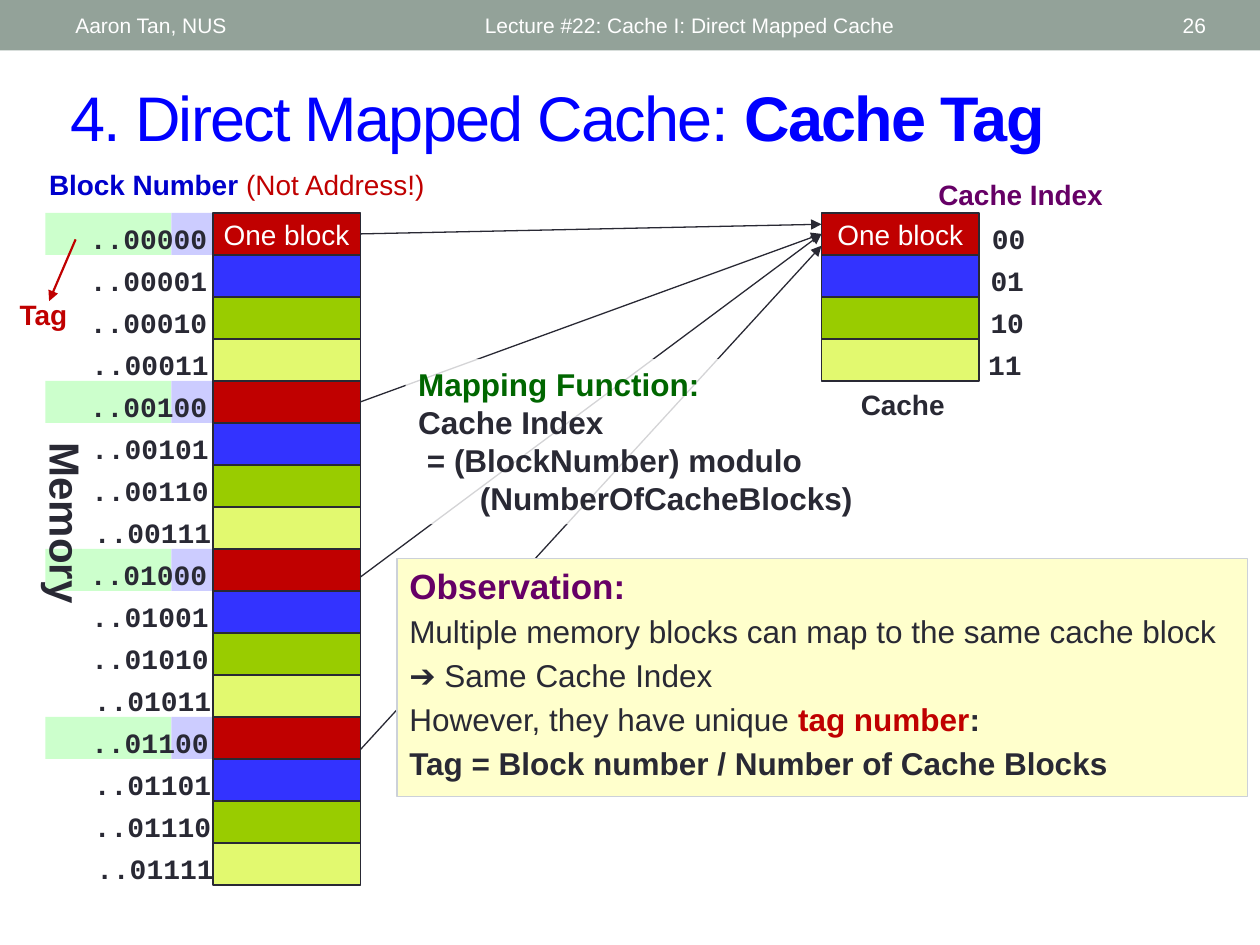
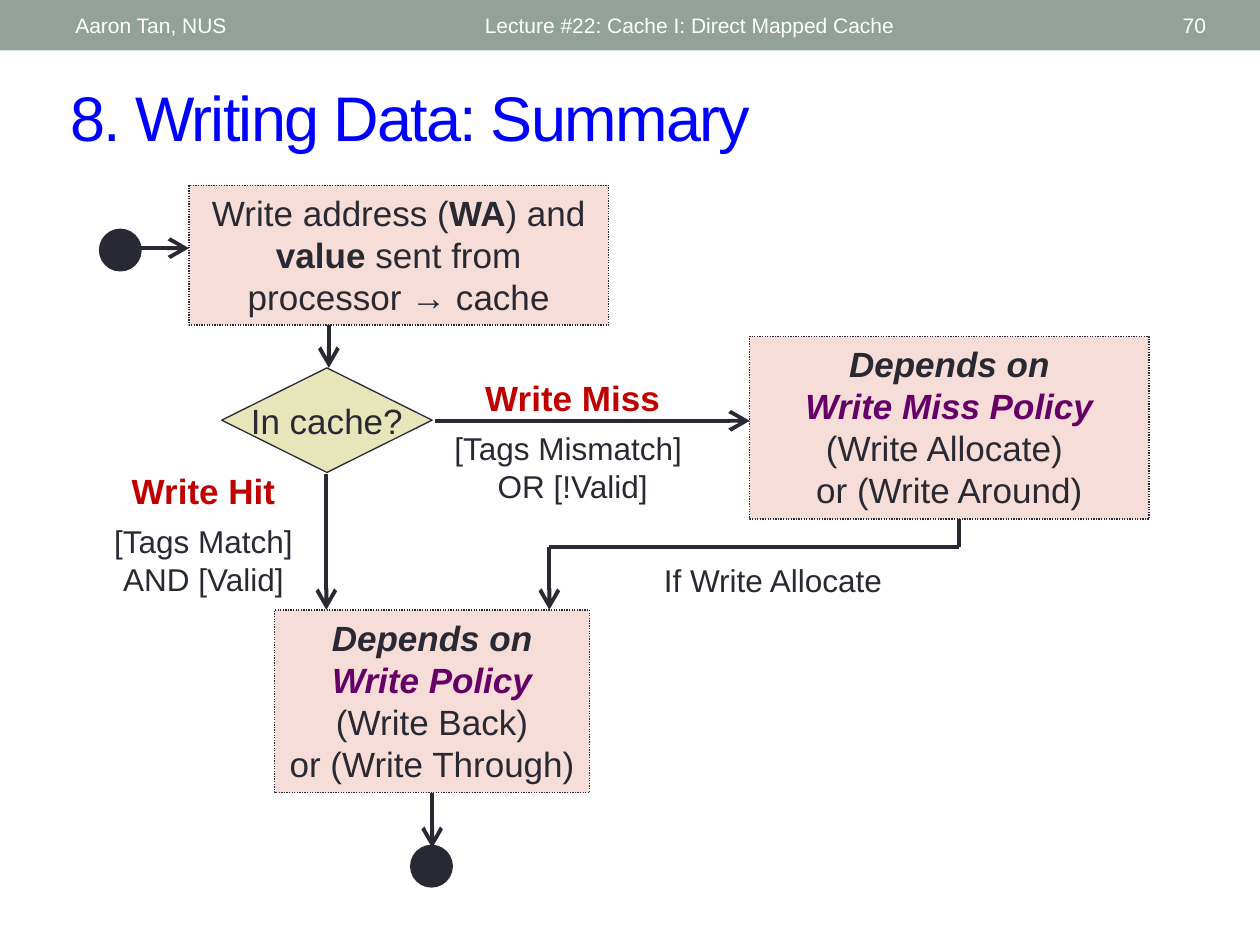
from lxml.etree import SubElement
from pptx import Presentation
from pptx.dml.color import RGBColor
from pptx.enum.dml import MSO_LINE
from pptx.enum.shapes import MSO_CONNECTOR, MSO_SHAPE
from pptx.enum.text import MSO_ANCHOR, PP_ALIGN
from pptx.oxml.ns import qn
from pptx.util import Inches, Pt

COLOURS = {
    "ink": "292934", "white": "FFFFFF", "band": "93A299", "title": "0000FF",
    "red": "C00000", "purple": "660066", "green": "006600", "navy": "0000CC",
    "note": "FFFFCC", "note edge": "CCD1D9", "tag bits": "CCFFCC",
    "index bits": "CCCCFF", "step": "F6DDD8", "decision": "E7E5BA",
}
BLOCK_FILLS = ["C00000", "3333FF", "99CC00", "E2F96F"]
LEFT, CENTER, RIGHT = PP_ALIGN.LEFT, PP_ALIGN.CENTER, PP_ALIGN.RIGHT
TOP, MIDDLE = MSO_ANCHOR.TOP, MSO_ANCHOR.MIDDLE


def add_box(page, frame, paragraphs=(), kind=None, fill=None, line=None, dash=None,
            align=CENTER, anchor=TOP, wrap=True, gap=0, font="Arial"):
    """Add a text box, or a shape if kind is given; a run is (text, colour, size, style)."""
    lengths = [Inches(value) for value in frame]
    if kind is None:
        box = page.shapes.add_textbox(*lengths)
    else:
        box = page.shapes.add_shape(kind, *lengths)
        box.shadow.inherit = False
        box.fill.solid()
        box.fill.fore_color.rgb = RGBColor.from_string(fill)
        if line:
            box.line.color.rgb = RGBColor.from_string(line)
            box.line.width = Pt(0.75)
            box.line.dash_style = dash
        else:
            box.line.fill.background()
    text_frame = box.text_frame
    text_frame.word_wrap = wrap
    text_frame.vertical_anchor = anchor
    for number, runs in enumerate(paragraphs):
        para = text_frame.add_paragraph() if number else text_frame.paragraphs[0]
        para.alignment = align
        if number and gap:
            para.space_before = Pt(gap)
        for text, colour, size, style in runs:
            for part, words in enumerate(text.split("\n")):
                if part:
                    para.add_line_break()
                span = para.add_run()
                span.text = words
                span.font.name = font
                span.font.size = Pt(size)
                span.font.bold = "b" in style
                span.font.italic = "i" in style
                span.font.color.rgb = RGBColor.from_string(COLOURS[colour])
    return box


def add_line(page, start, end, width, colour="ink", head=None, head_size="med",
             begin=None, finish=None):
    """Add a straight line; begin and finish are optional (shape, side) joins."""
    line = page.shapes.add_connector(
        MSO_CONNECTOR.STRAIGHT, *[Inches(value) for value in (*start, *end)])
    line.line.color.rgb = RGBColor.from_string(COLOURS[colour])
    line.line.width = Pt(width)
    if head:
        SubElement(line.line._get_or_add_ln(), qn("a:tailEnd"),
                   type=head, w=head_size, len=head_size)
    SubElement(line._element.spPr, qn("a:effectLst"))
    if begin:
        line.begin_connect(*begin)
    if finish:
        line.end_connect(*finish)


deck = Presentation()
deck.slide_width, deck.slide_height = Inches(10), Inches(7.5)

# Band, footer texts and title on every slide
pages = []
for page_number, title in [
    ("26", [("4. Direct Mapped Cache: ", "title", 36, ""), ("Cache Tag", "title", 36, "b")]),
    ("70", [("8. Writing Data: Summary", "title", 36, "")]),
]:
    page = deck.slides.add_slide(deck.slide_layouts[6])
    add_box(page, (0, 0, 10, 0.4), kind=MSO_SHAPE.RECTANGLE, fill=COLOURS["band"])
    title_box = add_box(page, (0.46, 0.57, 9.21, 0.7), [title], align=LEFT, anchor=MIDDLE)
    for span in title_box.text_frame.paragraphs[0].runs:
        span.font._element.set("spc", "-100")
    for left, width, text, align in [
        (0.5, 3.17, "Aaron Tan, NUS", LEFT),
        (3.75, 4.5, "Lecture #22: Cache I: Direct Mapped Cache", LEFT),
        (8.72, 0.95, page_number, RIGHT),
    ]:
        add_box(page, (left, 0.02, width, 0.36), [[(text, "white", 12, "")]],
                align=align, anchor=MIDDLE)
    pages.append(page)
cache_page, write_page = pages

# Tag and index bits behind the block numbers that share cache block 00
BLOCKS_TOP, BLOCK_HEIGHT = 1.69, 1 / 3
for row in range(0, 16, 4):
    top = BLOCKS_TOP + row * BLOCK_HEIGHT
    for left, width, name in [(0.36, 1, "tag bits"), (1.36, 0.33, "index bits")]:
        add_box(cache_page, (left, top, width, BLOCK_HEIGHT),
                kind=MSO_SHAPE.RECTANGLE, fill=COLOURS[name])
memory_label = add_box(cache_page, (-0.22, 3.9, 1.49, 0.5),
                       [[("Memory", "ink", 24, "b")]], wrap=False)
memory_label.rotation = 90

# Memory and cache columns
columns = []
for left, width, count in [(1.69, 1.17, 16), (6.52, 1.25, 4)]:
    column = []
    for row in range(count):
        words = [[("One block", "white", 16, "")]] if row == 0 else []
        column.append(add_box(
            cache_page, (left, BLOCKS_TOP + row * BLOCK_HEIGHT, width, BLOCK_HEIGHT), words,
            kind=MSO_SHAPE.RECTANGLE, fill=BLOCK_FILLS[row % 4], line=COLOURS["ink"],
            anchor=MIDDLE, wrap=False))
    columns.append(column)
memory, cache = columns

# Arrows from memory blocks to cache block 00
for start_y, end_y, begin, finish in [
    (1.86, 1.78, (memory[0], 3), None),
    (3.22, 1.86, (memory[4], 3), (cache[0], 1)),
    (4.58, 1.86, None, (cache[0], 1)),
    (5.95, 1.95, None, None),
]:
    add_line(cache_page, (2.86, start_y), (6.52, end_y), 0.75,
             head="triangle", begin=begin, finish=finish)

# Mapping function on a translucent panel over the arrows
mapping = add_box(cache_page, (3.22, 2.85, 3.97, 1.31), [
    [("Mapping Function:", "green", 18, "b")],
    [("Cache Index", "ink", 18, "b")],
    [("= (BlockNumber) modulo", "ink", 18, "b")],
    [("(NumberOfCacheBlocks)", "ink", 18, "b")],
], kind=MSO_SHAPE.RECTANGLE, fill=COLOURS["white"], align=LEFT)
panel_colour = mapping._element.spPr.find(qn("a:solidFill")).find(qn("a:srgbClr"))
SubElement(panel_colour, qn("a:alpha"), val="80000")
for para, indent in zip(mapping.text_frame.paragraphs[2:], (0.07, 0.49)):
    para._p.get_or_add_pPr().set("marL", str(Inches(indent)))

# Bring the cache in front of the panel
for block in cache:
    cache_page.shapes.element.append(block._element)

# Block numbers shift right as their count of ones grows
for row in range(16):
    bits = f"{row:05b}"
    left = (0.61, 0.61, 0.62, 0.64, 0.66)[bits.count("1")]
    add_box(cache_page, (left, 1.71 + row * BLOCK_HEIGHT, 1.14, 0.37),
            [[(f"..{bits}", "ink", 16, "b")]], wrap=False, font="Courier New")
for row, left in enumerate([7.77, 7.76, 7.76, 7.74]):
    add_box(cache_page, (left, 1.71 + row * BLOCK_HEIGHT, 0.47, 0.37),
            [[(f"{row:02b}", "ink", 16, "b")]], wrap=False, font="Courier New")

# Captions and the tag pointer
for frame, runs in [
    ((0.27, 1.28, 3.28, 0.37), [("Block Number ", "navy", 16, "b"),
                                ("(Not Address!) ", "red", 16, "")]),
    ((7.34, 1.36, 1.52, 0.37), [("Cache Index", "purple", 16, "b")]),
    ((6.73, 3.03, 0.87, 0.37), [("Cache", "ink", 16, "b")]),
    ((0.05, 2.31, 0.59, 0.37), [("Tag", "red", 16, "b")]),
]:
    add_box(cache_page, frame, [runs], wrap=False)
add_line(cache_page, (0.6, 1.9), (0.39, 2.39), 1.25, "red", "triangle")

# Observation
add_box(cache_page, (3.15, 4.43, 6.75, 1.89), [
    [("Observation:", "purple", 20, "b")],
    [("Multiple memory blocks can map to the same cache block", "ink", 18, "")],
    [("➔ Same Cache Index", "ink", 18, "")],
    [("However, they have unique ", "ink", 18, ""), ("tag number", "red", 18, "b"),
     (":", "ink", 18, "b")],
    [("Tag = Block number / Number of Cache Blocks", "ink", 18, "b")],
], kind=MSO_SHAPE.RECTANGLE, fill=COLOURS["note"], line=COLOURS["note edge"],
    align=LEFT, gap=3.5)

# Start and end of the write flow
for left, top in [(0.79, 1.82), (3.26, 6.71)]:
    add_box(write_page, (left, top, 0.33, 0.33), kind=MSO_SHAPE.OVAL,
            fill=COLOURS["ink"], line=COLOURS["ink"])

# Steps and decision
steps = []
for frame, paragraphs in [
    ((1.5, 1.47, 3.33, 1.11), [
        [("Write address (", "ink", 20, ""), ("WA", "ink", 20, "b"), (") and ", "ink", 20, ""),
         ("value", "ink", 20, "b"), (" sent from processor → cache", "ink", 20, "")]]),
    ((5.95, 2.67, 3.17, 1.45), [
        [("Depends on", "ink", 20, "bi")], [("Write Miss Policy", "purple", 20, "bi")],
        [("(Write Allocate) \nor (Write Around)", "ink", 20, "")]]),
    ((2.18, 4.84, 2.5, 1.45), [
        [("Depends on", "ink", 20, "bi")], [("Write Policy", "purple", 20, "bi")],
        [("(Write Back)", "ink", 20, "")], [("or (Write Through)", "ink", 20, "")]]),
]:
    steps.append(add_box(write_page, frame, paragraphs, kind=MSO_SHAPE.RECTANGLE,
                         fill=COLOURS["step"], line=COLOURS["ink"],
                         dash=MSO_LINE.ROUND_DOT))
write_policy = steps[2]
add_box(write_page, (1.76, 2.92, 1.67, 0.83), [[("In cache?", "ink", 20, "")]],
        kind=MSO_SHAPE.DIAMOND, fill=COLOURS["decision"], line=COLOURS["ink"],
        anchor=MIDDLE, wrap=False)

# Flow lines
for start, end, head, begin in [
    ((1.11, 1.97), (1.5, 1.97), "arrow", None),
    ((2.61, 2.58), (2.61, 2.92), "arrow", None),
    ((3.45, 3.34), (5.95, 3.34), "arrow", None),
    ((2.59, 3.76), (2.59, 4.84), "arrow", None),
    ((7.61, 4.12), (7.61, 4.34), None, None),
    ((7.61, 4.34), (4.36, 4.34), None, None),
    ((4.36, 4.34), (4.36, 4.84), "arrow", None),
    ((3.43, 6.29), (3.43, 6.73), "arrow", (write_policy, 2)),
]:
    add_line(write_page, start, end, 2.25, head=head, head_size="lg", begin=begin)

# Branch labels
for frame, outcome, condition in [
    ((0.78, 3.68, 1.67, 1.13), "Write Hit", "[Tags Match] AND [Valid]"),
    ((3.46, 2.94, 2.17, 1.13), "Write Miss", "[Tags Mismatch] \nOR [!Valid]"),
]:
    add_box(write_page, frame,
            [[(outcome, "red", 20, "b")], [(condition, "ink", 18, "")]], gap=6)
add_box(write_page, (5.05, 4.4, 2.17, 0.4), [[("If Write Allocate", "ink", 18, "")]])

deck.save("out.pptx")
